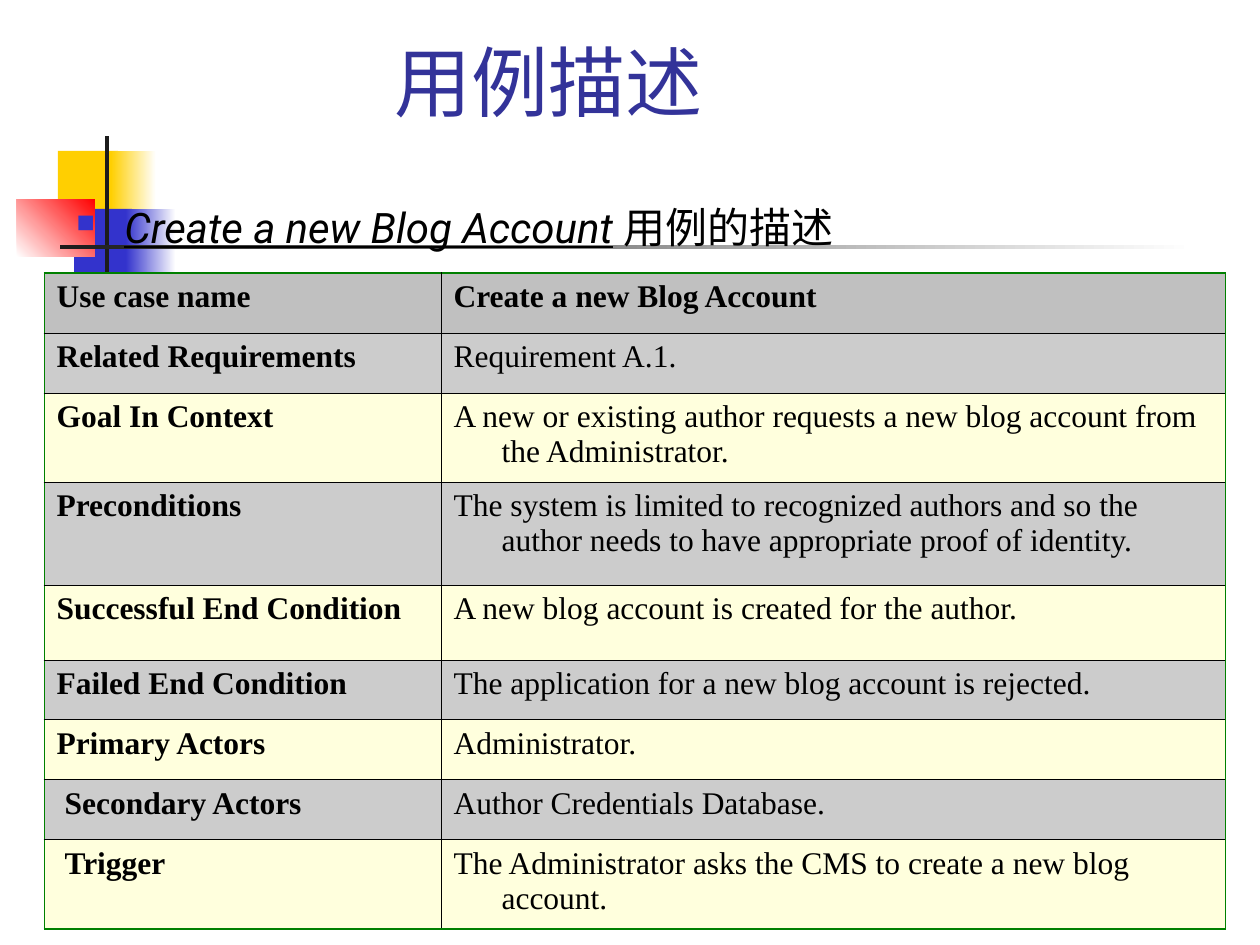
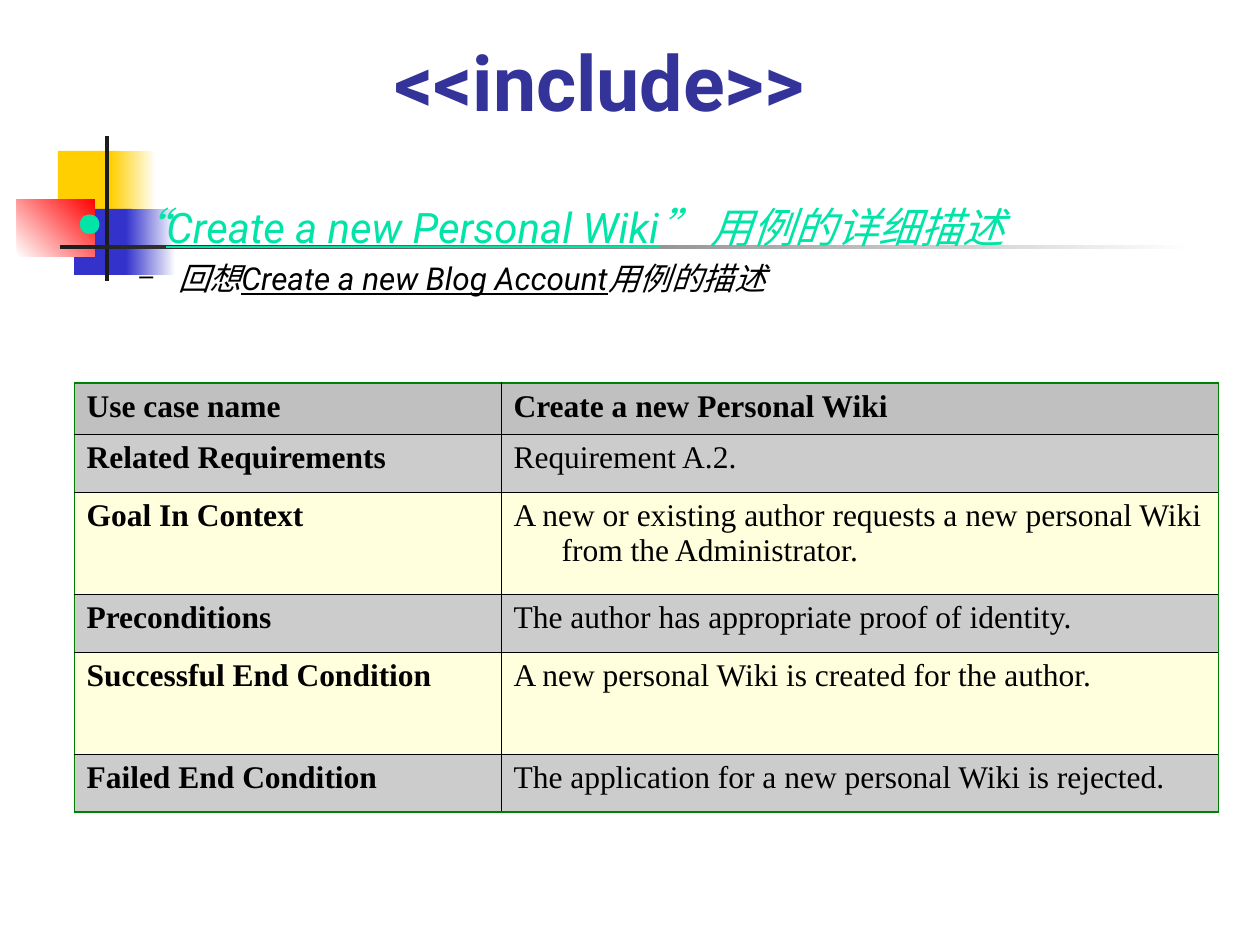
from lxml import etree
from pptx import Presentation
from pptx import util as u
from pptx.dml.color import RGBColor
from pptx.enum import shapes, text
from pptx.oxml.ns import qn

PX = 914400 / 126

WHITE = RGBColor(0xFF, 0xFF, 0xFF)
BLACK = RGBColor(0, 0, 0)
INK = RGBColor(0x1C, 0x1C, 0x1C)
GOLD = RGBColor(0xFF, 0xCF, 0x01)
BLUE = RGBColor(0x33, 0x33, 0xCC)
RED = RGBColor(0xFF, 0, 0)
NAVY = RGBColor(0x33, 0x33, 0x99)
MINT = RGBColor(0, 0xE4, 0xA8)
GREEN = RGBColor(0, 0x80, 0)
HEAD = RGBColor(0xC0, 0xC0, 0xC0)
GREY = RGBColor(0xCC, 0xCC, 0xCC)
CREAM = RGBColor(0xFF, 0xFF, 0xDD)

SANS = "Roboto"
SERIF = "Times New Roman"
HANG = 48  # hanging indent of bullets and cell text

# box, colours from start to end, angle
MOTIF = [
    ((58, 151, 60, 66), [GOLD], 0),
    ((111, 151, 45, 66), [GOLD, WHITE], 0),
    ((74, 209, 58, 66), [BLUE], 0),
    ((126, 209, 50, 66), [BLUE, WHITE], 0),
    ((17, 199, 78, 58), [WHITE, RED], 45),
    ((105, 136, 4, 145), [INK], 0),
    ((60, 245, 1134, 4), [INK, WHITE], 0),
]
TITLE = (382, 35, 878, 98)

BLOG = [
    ("Use case name", "Create a new Blog Account", 60),
    ("Related Requirements", "Requirement A.1.", 60),
    ("Goal In Context", "A new or existing author requests a new blog account "
     "from the Administrator.", 89),
    ("Preconditions", "The system is limited to recognized authors and so the "
     "author needs to have appropriate proof of identity.", 103),
    ("Successful End Condition",
     "A new blog account is created for the author.", 75),
    ("Failed End Condition",
     "The application for a new blog account is rejected.", 60),
    ("Primary Actors", "Administrator.", 60),
    ("Secondary Actors", "Author Credentials Database.", 60),
    ("Trigger", "The Administrator asks the CMS to create a new blog "
     "account.", 89),
]
WIKI = [
    ("Use case name", "Create a new Personal Wiki", 51),
    ("Related Requirements", "Requirement A.2.", 58),
    ("Goal In Context", "A new or existing author requests a new personal "
     "Wiki from the Administrator.", 102),
    ("Preconditions", "The author has appropriate proof of identity.", 58),
    ("Successful End Condition",
     "A new personal Wiki is created for the author.", 102),
    ("Failed End Condition",
     "The application for a new personal Wiki is rejected.", 58),
]
NUDGED = ("Secondary Actors", "Trigger")


def emu(*px):
    return [u.Emu(round(n * PX)) for n in px]


def add_run(para, words, font, size, color, bold=False, italic=False,
            under=False):
    run = para.add_run()
    run.text = words
    face = run.font
    face.name, face.size, face.color.rgb = font, u.Pt(size), color
    face.bold, face.italic, face.underline = bold, italic, under


def indent(para, left, first):
    props = para._p.get_or_add_pPr()
    for key, value in zip(("marL", "indent"), emu(left, first)):
        props.set(key, str(value))
    return props


def add_bullet(para, char, color, percent):
    props = para._p.get_or_add_pPr()
    tint = etree.SubElement(props, qn("a:buClr"))
    etree.SubElement(tint, qn("a:srgbClr"), val=str(color))
    etree.SubElement(props, qn("a:buSzPct"), val=str(percent * 1000))
    etree.SubElement(props, qn("a:buChar"), char=char)


def add_box(slide, box):
    frame = slide.shapes.add_textbox(*emu(*box)).text_frame
    frame.word_wrap = True
    return frame


def draw_motif(slide):
    for box, tones, angle in MOTIF:
        block = slide.shapes.add_shape(
            shapes.MSO_SHAPE.RECTANGLE, *emu(*box))
        block.shadow.inherit = False
        block.line.fill.background()
        if len(tones) == 1:
            block.fill.solid()
            block.fill.fore_color.rgb = tones[0]
        else:
            block.fill.gradient()
            block.fill.gradient_angle = angle
            for stop, tone in zip(block.fill.gradient_stops, tones):
                stop.color.rgb = tone


def draw_title(slide, words, bold):
    frame = add_box(slide, TITLE)
    frame.vertical_anchor = text.MSO_ANCHOR.BOTTOM
    add_run(frame.paragraphs[0], words, SANS, 44, NAVY, bold=bold)


def draw_points(slide, box, points):
    """Each point: level, left, hang, bullet, percent, size, colour, runs.

    A run is its words, italic and underline.
    """
    frame = add_box(slide, box)
    for num, point in enumerate(points):
        level, left, hang, char, percent, size, color, tint, runs = point
        para = frame.add_paragraph() if num else frame.paragraphs[0]
        para.level = level
        indent(para, left, -hang)
        add_bullet(para, char, tint, percent)
        if num:
            para.space_before = u.Pt(4.5)
        for words, italic, under in runs:
            add_run(para, words, SANS, size, color, italic=italic,
                    under=under)


def add_edge(cell, side, color, width):
    line = etree.SubElement(cell._tc.get_or_add_tcPr(), qn("a:ln" + side),
                            w=str(u.Pt(width)))
    fill = etree.SubElement(line, qn("a:solidFill"))
    etree.SubElement(fill, qn("a:srgbClr"), val=str(color))


def fill_cell(cell, words, bold, fill, edges):
    for side, (color, width) in edges.items():
        add_edge(cell, side, color, width)
    cell.fill.solid()
    cell.fill.fore_color.rgb = fill
    para = cell.text_frame.paragraphs[0]
    indent(para, HANG, -HANG + (8 if words in NUDGED else 0))
    add_run(para, words, SERIF, 18, BLACK, bold=bold)


def draw_table(slide, left, top, widths, rows):
    high = sum(row[2] for row in rows)
    frame = slide.shapes.add_table(
        len(rows), 2, *emu(left, top, sum(widths), high))
    table = frame.table
    for col, width in zip(table.columns, emu(*widths)):
        col.width = width
    side, mid = (GREEN, 0.45), (BLACK, 0.34)
    rim, rule = (GREEN, 0.96), (BLACK, 0.45)
    last = len(rows) - 1
    for num, (label, detail, height) in enumerate(rows):
        table.rows[num].height = emu(height)[0]
        fill = HEAD if num == 0 else GREY if num % 2 else CREAM
        # the lower half of the table keeps the same alternation
        for col, words in enumerate((label, detail)):
            edges = {"L": mid if col else side, "R": side if col else mid,
                     "T": rule if num else rim,
                     "B": rim if num == last else rule}
            fill_cell(table.cell(num, col), words,
                      col == 0 or num == 0, fill, edges)


def new_slide(deck, title, bold=False):
    slide = deck.slides.add_slide(deck.slide_layouts[6])
    draw_motif(slide)
    draw_title(slide, title, bold)
    return slide


def main():
    deck = Presentation()
    deck.slide_width, deck.slide_height = emu(1260, 945)

    blog = new_slide(deck, "用例描述")
    draw_points(blog, (64, 195, 1142, 79), [
        (0, HANG, HANG, "■", 60, 24, BLACK, BLUE,
         [("Create a new Blog Account", True, True),
          (" 用例的描述", False, False)]),
    ])
    draw_table(blog, 44, 273, (397, 784), BLOG)

    wiki = new_slide(deck, "<<include>>", bold=True)
    draw_points(wiki, (64, 195, 1134, 189), [
        (0, HANG, HANG, "●", 80, 24, MINT, MINT,
         [("“", True, False), ("Create a new Personal Wiki", True, True),
          ("” 用例的详细描述", True, False)]),
        (1, 102, 39, "–", 80, 18, BLACK, BLACK,
         [("回想", True, False), ("Create a new Blog Account", True, True),
          ("用例的描述", True, False)]),
    ])
    draw_table(wiki, 74, 383, (427, 717), WIKI)

    deck.save("out.pptx")


if __name__ == "__main__":
    main()
